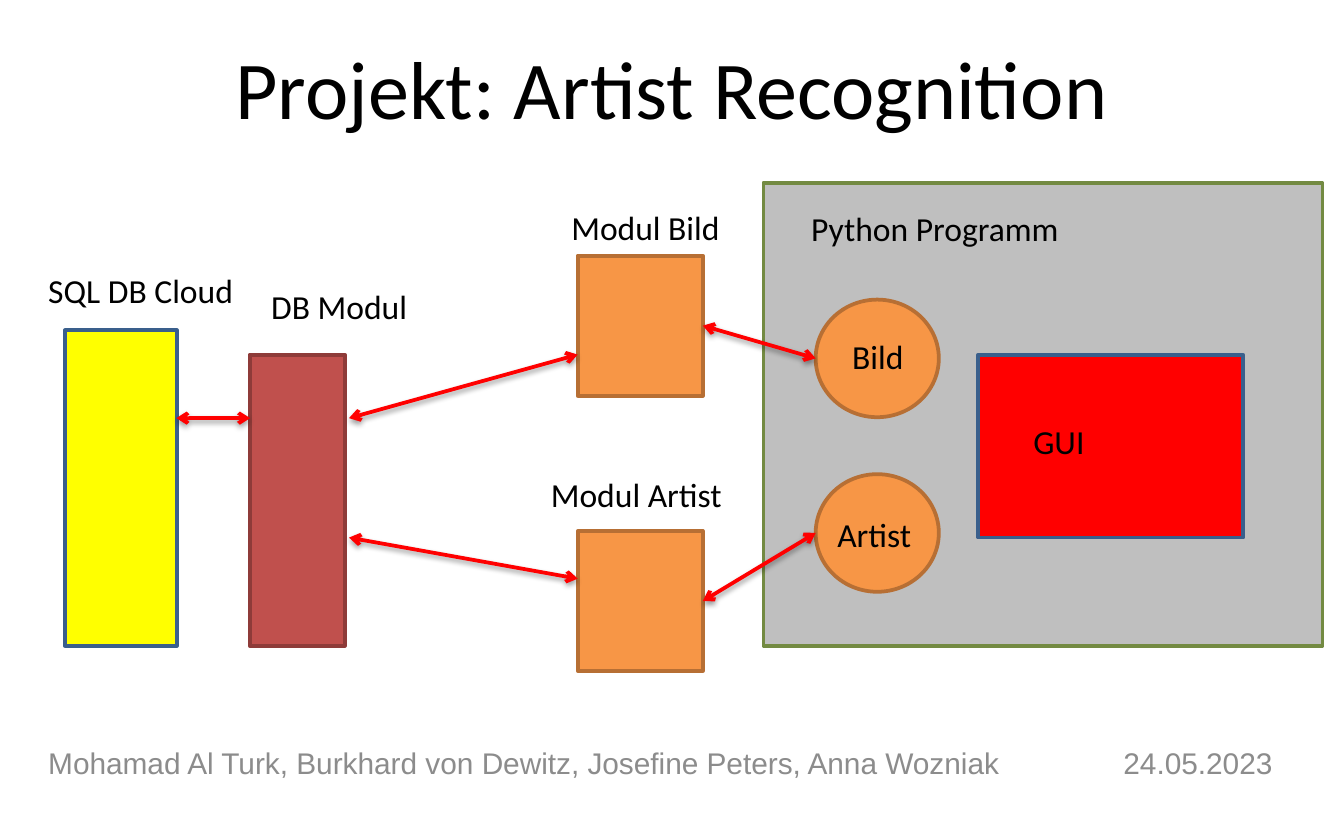
import pptx
import pptx.dml.color
import pptx.enum.shapes
import pptx.enum.text
import pptx.oxml
import pptx.oxml.ns
import pptx.util

Pt = pptx.util.Pt
RECTANGLE = pptx.enum.shapes.MSO_SHAPE.RECTANGLE
OVAL = pptx.enum.shapes.MSO_SHAPE.OVAL
ORANGE, BROWN, BLUE, RED = "F79646", "B76F34", "3A5F8C", "FF0000"
NAMESPACE = pptx.oxml.ns.nsdecls("a")


def color(hex_string):
    return pptx.dml.color.RGBColor.from_string(hex_string)


def add_run(paragraph, text, size, font="Calibri", fill="000000"):
    run = paragraph.add_run()
    run.text = text
    run.font.size = Pt(size)
    run.font.name = font
    run.font.color.rgb = color(fill)


def add_block(slide, kind, left, top, width, height, fill, line):
    shape = slide.shapes.add_shape(kind, Pt(left), Pt(top), Pt(width), Pt(height))
    shape.shadow.inherit = False
    shape.fill.solid()
    shape.fill.fore_color.rgb = color(fill)
    shape.line.color.rgb = color(line)
    shape.line.width = Pt(2)


def add_text_box(slide, left, top, width, height):
    text_box = slide.shapes.add_textbox(Pt(left), Pt(top), Pt(width), Pt(height))
    text_box.text_frame.word_wrap = True
    return text_box.text_frame


def add_label(slide, text, left, top, width):
    frame = add_text_box(slide, left, top, width, 29)
    frame.auto_size = pptx.enum.text.MSO_AUTO_SIZE.SHAPE_TO_FIT_TEXT
    add_run(frame.paragraphs[0], text, 18)


def add_link(slide, start, end):
    connector = slide.shapes.add_connector(
        pptx.enum.shapes.MSO_CONNECTOR.STRAIGHT, *map(Pt, start + end))
    connector.line.color.rgb = color(RED)
    connector.line.width = Pt(2)
    line = connector.line._get_or_add_ln()
    for tag in ("headEnd", "tailEnd"):
        line.append(pptx.oxml.parse_xml(f'<a:{tag} {NAMESPACE} type="arrow"/>'))
    connector._element.spPr.append(pptx.oxml.parse_xml(
        f'<a:effectLst {NAMESPACE}><a:outerShdw blurRad="{Pt(3.1)}" dist="{Pt(1.6)}" '
        'dir="5400000" rotWithShape="0"><a:srgbClr val="000000">'
        '<a:alpha val="38000"/></a:srgbClr></a:outerShdw></a:effectLst>'))


def place_title(slide, left, top, width, height):
    title = slide.shapes.title
    title.left, title.top, title.width, title.height = map(Pt, (left, top, width, height))
    title.text_frame.vertical_anchor = pptx.enum.text.MSO_ANCHOR.MIDDLE
    paragraph = title.text_frame.paragraphs[0]
    paragraph.alignment = pptx.enum.text.PP_ALIGN.CENTER
    add_run(paragraph, "Projekt: Artist Recognition", 44)


def place_footer(slide, left, top, width, height):
    paragraph = add_text_box(slide, left, top, width, height).paragraphs[0]
    paragraph._p.get_or_add_pPr().append(pptx.oxml.parse_xml(
        f'<a:tabLst {NAMESPACE}><a:tab pos="{Pt(576)}" algn="l"/></a:tabLst>'))
    names = "Mohamad Al Turk, Burkhard von Dewitz, Josefine Peters, Anna Wozniak"
    add_run(paragraph, names + "\t24.05.2023", 16, "Arial", "8C8C8C")


def place_database(slide, left, top):
    add_block(slide, RECTANGLE, left + 16, top + 36, 60, 169, "FFFF00", BLUE)
    add_label(slide, "SQL DB Cloud", left, top, 120)
    add_block(slide, RECTANGLE, left + 115, top + 49, 51, 156, "C0504D", "8E3B39")
    add_label(slide, "DB Modul", left + 119.5, top + 8.5, 97)


def place_module(slide, text, left, top, label_left, label_top, label_width):
    add_block(slide, RECTANGLE, left, top, 67, 75, ORANGE, BROWN)
    add_label(slide, text, left + label_left, top + label_top, label_width)


def place_program(slide, left, top, width, height):
    add_block(slide, RECTANGLE, left, top, width, height, "BFBFBF", "738A42")
    add_label(slide, "Python Programm", left + 18.5, top + 10, 184)
    circles = [("Bild", 62.5, 12.5, 16, 53), ("Artist", 156, 4.5, 17.5, 66)]
    for text, offset, label_left, label_top, label_width in circles:
        add_block(slide, OVAL, left + 28, top + offset, 66, 63, ORANGE, BROWN)
        add_label(slide, text, left + 28 + label_left, top + offset + label_top, label_width)
    add_block(slide, RECTANGLE, left + 115, top + 92, 142, 98, RED, BLUE)
    add_label(slide, "GUI", left + 137.5, top + 124, 97)


def main():
    presentation = pptx.Presentation()
    presentation.slide_width, presentation.slide_height = Pt(720), Pt(450)
    slide = presentation.slides.add_slide(presentation.slide_layouts[5])

    place_title(slide, 54, -6.5, 612, 106)
    place_footer(slide, 18.75, 395.5, 682, 45)
    place_database(slide, 18.75, 141)
    place_program(slide, 409, 98, 299.5, 248)
    place_module(slide, "Modul Bild", 309.5, 137, -10.5, -29.5, 97)
    place_module(slide, "Modul Artist", 309.5, 284.5, -21.5, -34, 121)

    links = [
        ((94.5, 224), (134, 224)),
        ((187, 224), (309.5, 190)),
        ((187, 288), (309.5, 310)),
        ((376.5, 174.5), (437, 192)),
        ((376.5, 322), (437, 285.5)),
    ]
    for start, end in links:
        add_link(slide, start, end)
    presentation.save("out.pptx")


if __name__ == "__main__":
    main()
